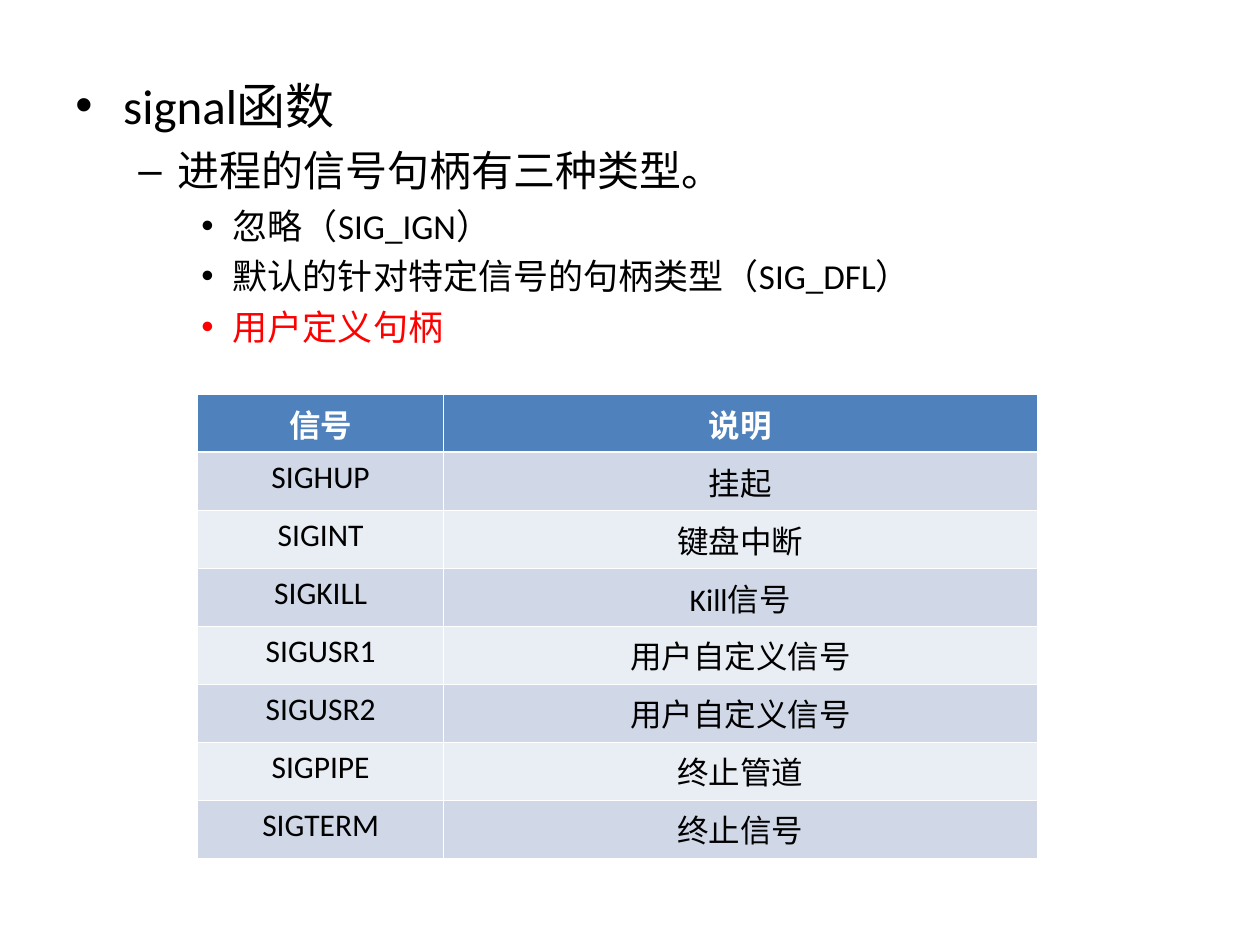
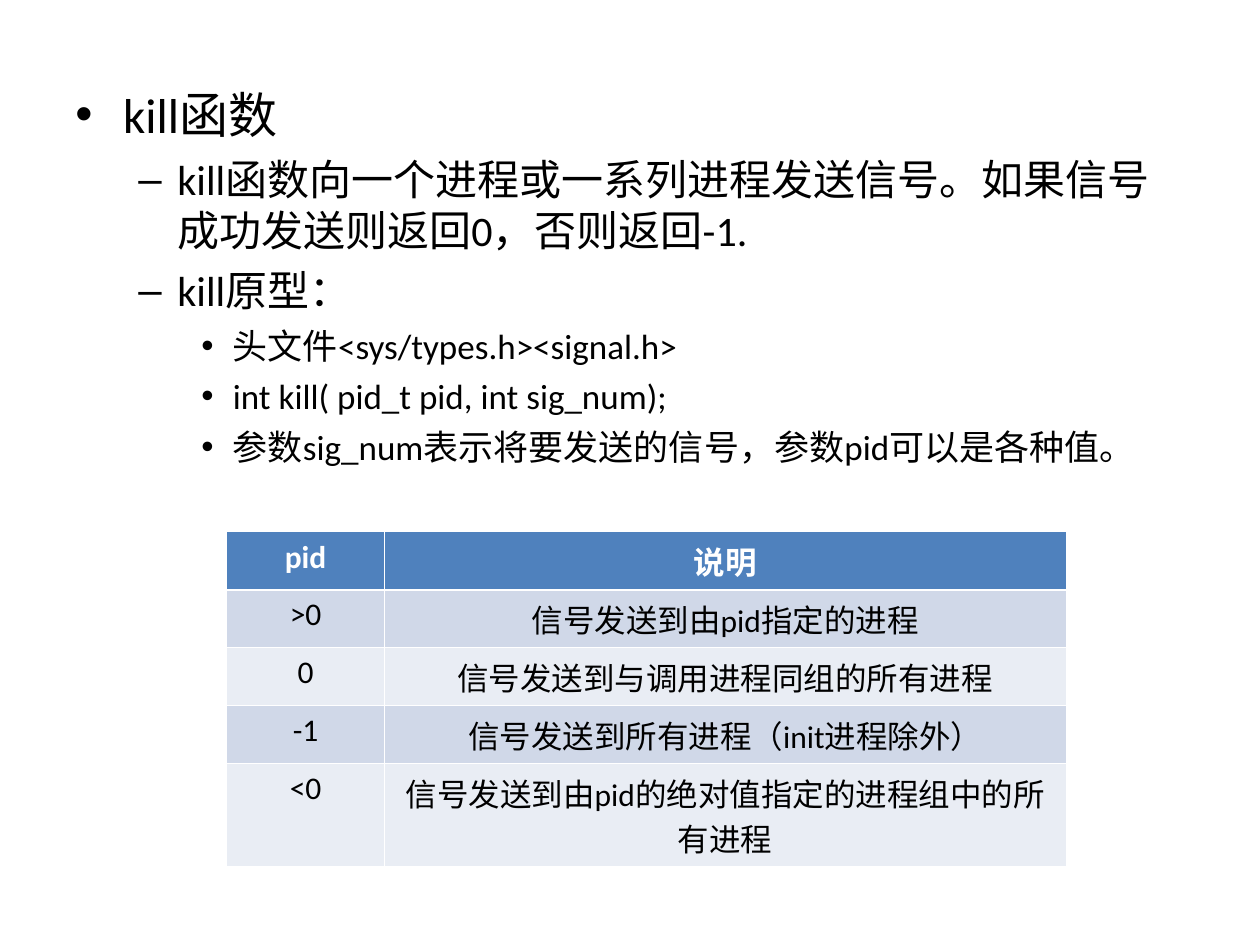
from lxml import etree
from pptx import Presentation
from pptx.dml.color import RGBColor
from pptx.enum.text import PP_ALIGN
from pptx.oxml.ns import qn
from pptx.util import Inches, Pt

BLACK = RGBColor(0x00, 0x00, 0x00)
WHITE = RGBColor(0xFF, 0xFF, 0xFF)
RED = RGBColor(0xFF, 0x00, 0x00)
HEADER_BLUE = RGBColor(0x4F, 0x81, 0xBD)
BANDS = [RGBColor(0xE9, 0xED, 0xF4), RGBColor(0xD0, 0xD8, 0xE8)]
FONT = "Calibri"

# Per outline level: bullet, size, space before, left margin, hanging indent
LEVELS = [
    ("•", 28, 7, 0.38, 0.38),
    ("–", 24, 6, 0.81, 0.31),
    ("•", 20, 5, 1.25, 0.25),
]
THIN, THICK = 0.45, 1.47
ONE_LINE_ROW, TWO_LINE_ROW = 0.46, 0.82

SLIDES = [
    {
        "outline_top": 0.55,
        "outline_height": 6.15,
        "outline": [
            (0, "signal函数", BLACK),
            (1, "进程的信号句柄有三种类型。", BLACK),
            (2, "忽略（SIG_IGN）", BLACK),
            (2, "默认的针对特定信号的句柄类型（SIG_DFL）", BLACK),
            (2, "用户定义句柄", RED),
        ],
        "table_at": (1.57, 3.13),
        "columns": (1.95, 4.71),
        "last_row": ONE_LINE_ROW,
        "rows": [
            ("信号", "说明"),
            ("SIGHUP", "挂起"),
            ("SIGINT", "键盘中断"),
            ("SIGKILL", "Kill信号"),
            ("SIGUSR1", "用户自定义信号"),
            ("SIGUSR2", "用户自定义信号"),
            ("SIGPIPE", "终止管道"),
            ("SIGTERM", "终止信号"),
        ],
    },
    {
        "outline_top": 0.62,
        "outline_height": 6.07,
        "outline": [
            (0, "kill函数", BLACK),
            (1, "kill函数向一个进程或一系列进程发送信号。如果信号成功发送则返回0，否则返回-1.", BLACK),
            (1, "kill原型：", BLACK),
            (2, "头文件<sys/types.h><signal.h>", BLACK),
            (2, "int kill( pid_t pid, int sig_num);", BLACK),
            (2, "参数sig_num表示将要发送的信号，参数pid可以是各种值。", BLACK),
        ],
        "table_at": (1.8, 4.22),
        "columns": (1.25, 5.41),
        "last_row": TWO_LINE_ROW,
        "rows": [
            ("pid", "说明"),
            (">0", "信号发送到由pid指定的进程"),
            ("0", "信号发送到与调用进程同组的所有进程"),
            ("-1", "信号发送到所有进程（init进程除外）"),
            ("<0", "信号发送到由pid的绝对值指定的进程组中的所有进程"),
        ],
    },
]


def format_bullet(paragraph, level, color):
    bullet, _, _, margin, hanging = LEVELS[level]
    properties = paragraph._p.get_or_add_pPr()
    properties.set("marL", str(Inches(margin)))
    properties.set("indent", str(-Inches(hanging)))
    bullet_color = etree.SubElement(properties, qn("a:buClr"))
    etree.SubElement(bullet_color, qn("a:srgbClr"), val=str(color))
    etree.SubElement(properties, qn("a:buFont"), typeface="Arial")
    etree.SubElement(properties, qn("a:buChar"), char=bullet)


def add_cell_borders(cell, top, bottom):
    """Draw white cell edges; the schema wants them ahead of the fill."""
    properties = cell._tc.get_or_add_tcPr()
    edges = [("a:lnL", THIN), ("a:lnR", THIN), ("a:lnT", top), ("a:lnB", bottom)]
    for position, (tag, width) in enumerate(edges):
        edge = etree.Element(qn(tag), w=str(Pt(width)))
        fill = etree.SubElement(edge, qn("a:solidFill"))
        etree.SubElement(fill, qn("a:srgbClr"), val=str(WHITE))
        properties.insert(position, edge)


prs = Presentation()
prs.slide_width, prs.slide_height = Inches(10), Inches(7.5)

for content in SLIDES:
    slide = prs.slides.add_slide(prs.slide_layouts[6])

    outline = slide.shapes.add_textbox(
        Inches(0.5), Inches(content["outline_top"]),
        Inches(9), Inches(content["outline_height"])).text_frame
    outline.word_wrap = True
    for index, (level, text, color) in enumerate(content["outline"]):
        paragraph = outline.add_paragraph() if index else outline.paragraphs[0]
        paragraph.text = text
        paragraph.level = level
        format_bullet(paragraph, level, color)
        _, size, gap, _, _ = LEVELS[level]
        if index:
            paragraph.space_before = Pt(gap)
        run = paragraph.runs[0]
        run.font.name = FONT
        run.font.size = Pt(size)
        run.font.color.rgb = color
        # East Asian text follows the same line height as Latin text
        etree.SubElement(run._r.get_or_add_rPr(), qn("a:ea"), typeface=FONT)

    rows, columns = content["rows"], content["columns"]
    left, top = content["table_at"]
    heights = [ONE_LINE_ROW] * (len(rows) - 1) + [content["last_row"]]
    table = slide.shapes.add_table(
        len(rows), len(columns), Inches(left), Inches(top),
        Inches(sum(columns)), Inches(sum(heights))).table
    for column, width in zip(table.columns, columns):
        column.width = Inches(width)
    for row_index, (row, height) in enumerate(zip(rows, heights)):
        table.rows[row_index].height = Inches(height)
        is_header = row_index == 0
        for column_index, text in enumerate(row):
            cell = table.cell(row_index, column_index)
            cell.fill.solid()
            cell.fill.fore_color.rgb = HEADER_BLUE if is_header else BANDS[row_index % 2]
            add_cell_borders(cell, top=THICK if row_index == 1 else THIN,
                             bottom=THICK if is_header else THIN)
            cell.text_frame.text = text
            paragraph = cell.text_frame.paragraphs[0]
            paragraph.alignment = PP_ALIGN.CENTER
            font = paragraph.runs[0].font
            font.name = FONT
            font.size = Pt(18)
            font.bold = is_header
            font.color.rgb = WHITE if is_header else BLACK

prs.save("out.pptx")
